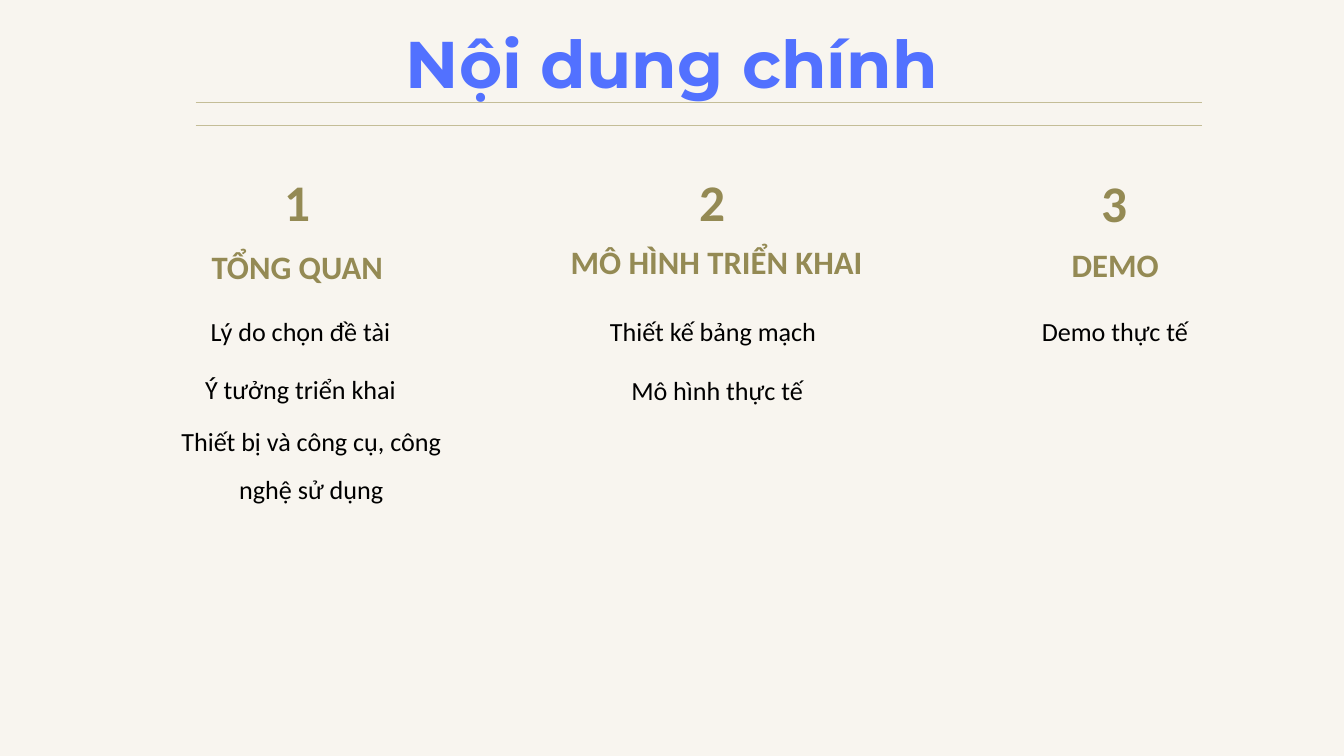
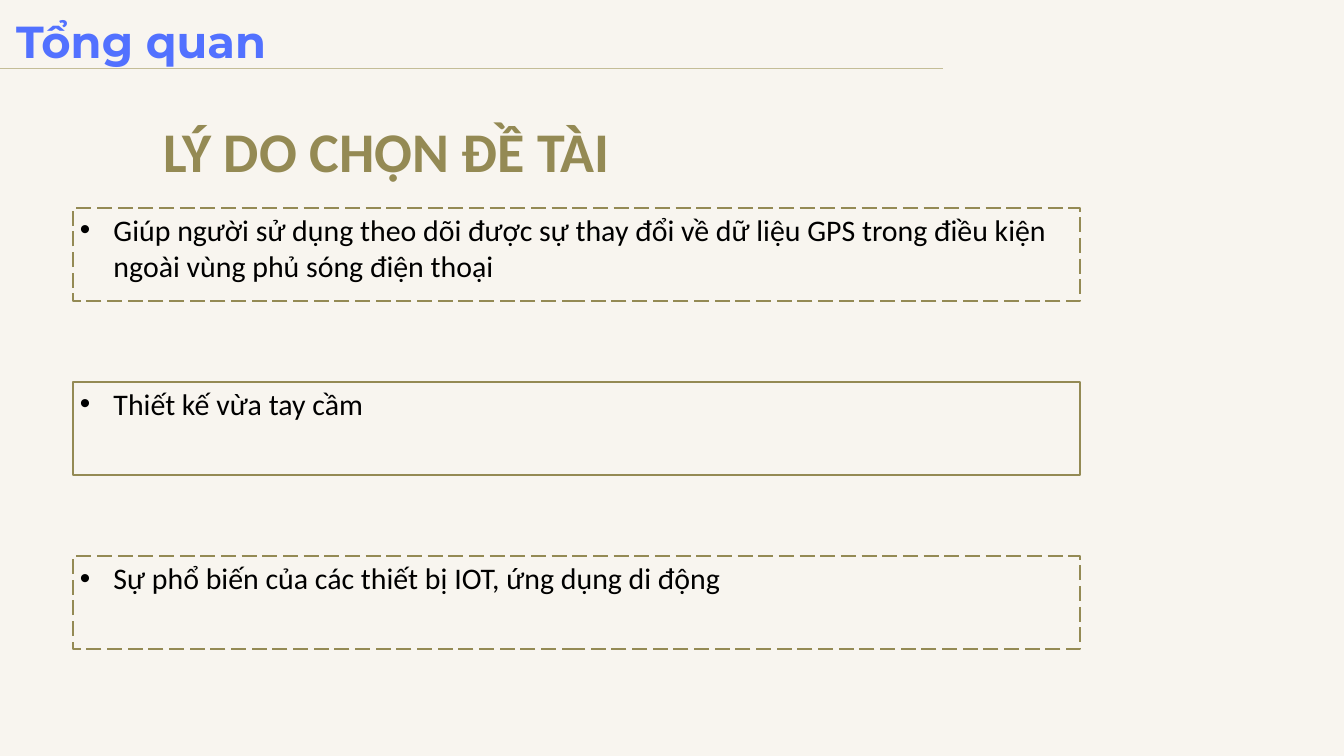
from lxml.etree import SubElement
from pptx import Presentation
from pptx.dml.color import RGBColor
from pptx.enum.dml import MSO_LINE
from pptx.enum.shapes import MSO_CONNECTOR, MSO_SHAPE
from pptx.enum.text import MSO_AUTO_SIZE, PP_ALIGN
from pptx.oxml.ns import qn
from pptx.util import Emu, Pt

EMU_PER_PX = 9144
SLIDE_WIDTH, SLIDE_HEIGHT = 2000, 1125
COLORS = {
    "background": "F8F5EF",
    "title": "5271FF",
    "rule": "C4BD97",
    "accent": "948A54",
    "body": "000000",
}
TITLE_FONT, BODY_FONT = "Montserrat", "Calibri"
BULLET_INDENT = 50

COLUMNS = [
    {
        "box": (267, 233, 392, 519),
        "number": ("1", 103, 0, 146),
        "heading": ("TỔNG QUAN", 0, 122, 351),
        "items": [
            ("Lý do chọn đề tài", 17, 212, 326, 72),
            ("Ý tưởng triển khai", 17, 299, 326, 72),
            ("Thiết bị và công cụ, công nghệ sử dụng", 0, 376, 392, 143),
        ],
    },
    {
        "box": (803, 233, 527, 372),
        "number": ("2", 197, 0, 122),
        "heading": ("MÔ HÌNH TRIỂN KHAI", 0, 115, 527),
        "items": [
            ("Thiết kế bảng mạch", 78, 212, 360, 72),
            ("Mô hình thực tế", 118, 300, 292, 72),
        ],
    },
    {
        "box": (1330, 233, 658, 284),
        "number": ("3", 256, 2, 146),
        "heading": ("DEMO", 154, 120, 351),
        "items": [("Demo thực tế", 0, 212, 658, 72)],
    },
]
REASONS = [
    ("Giúp người sử dụng theo dõi được sự thay đổi về dữ liệu GPS "
     "trong điều kiện ngoài vùng phủ sóng điện thoại", MSO_LINE.LONG_DASH, 118),
    ("Thiết kế vừa tay cầm", MSO_LINE.SOLID, 64),
    ("Sự phổ biến của các thiết bị IOT, ứng dụng di động", MSO_LINE.LONG_DASH, 64),
]


def px(value):
    return Emu(value * EMU_PER_PX)


def color(name):
    return RGBColor.from_string(COLORS[name])


def add_text(shapes, box, text, size, color_name, font_name=BODY_FONT, bold=False,
             align=PP_ALIGN.CENTER, spacing=1.2, bulleted=False):
    shape = shapes.add_textbox(*map(px, box))
    frame = shape.text_frame
    frame.word_wrap = True
    frame.auto_size = MSO_AUTO_SIZE.SHAPE_TO_FIT_TEXT
    paragraph = frame.paragraphs[0]
    paragraph.alignment = align
    paragraph.line_spacing = spacing
    if bulleted:
        add_bullet(paragraph)
    else:
        frame.margin_left = frame.margin_right = 0
        frame.margin_top = frame.margin_bottom = 0
    run = paragraph.add_run()
    run.text = text
    run.font.size = Pt(size)
    run.font.name = font_name
    run.font.bold = bold
    run.font.color.rgb = color(color_name)


def add_bullet(paragraph):
    properties = paragraph._p.get_or_add_pPr()
    properties.set("marL", str(px(BULLET_INDENT)))
    properties.set("indent", str(px(-BULLET_INDENT)))
    bullet_color = SubElement(properties, qn("a:buClr"))
    SubElement(bullet_color, qn("a:srgbClr"), val=COLORS["body"])
    SubElement(properties, qn("a:buFont"), typeface="Arial")
    SubElement(properties, qn("a:buChar"), char="•")


def add_rule(slide, left, top, width):
    line = slide.shapes.add_connector(
        MSO_CONNECTOR.STRAIGHT, px(left), px(top), px(left + width), px(top))
    line.line.color.rgb = color("rule")
    line.line.width = Pt(0.75)
    SubElement(line._element.spPr, qn("a:effectLst"))


def add_slide(presentation):
    slide = presentation.slides.add_slide(presentation.slide_layouts[6])
    slide.background.fill.solid()
    slide.background.fill.fore_color.rgb = color("background")
    return slide


def add_title(slide, box, text, size, align, rule_left, rule_gaps):
    left, top, width, height = box
    add_text(slide.shapes, box, text, size, "title", TITLE_FONT, True, align)
    for gap in rule_gaps:
        add_rule(slide, left + rule_left, top + height + gap, 1498)


def add_column(slide, box, number, heading, items):
    left, top = box[:2]
    header = slide.shapes.add_group_shape()
    for (text, x, y, width), height, size, spacing in (
            (number, 113, 55, 1.22), (heading, 71, 35, 1.2)):
        add_text(header.shapes, (left + x, top + y, width, height), text, size,
                 "accent", bold=True, spacing=spacing)
    for text, x, y, width, height in items:
        add_text(slide.shapes, (left + x, top + y, width, height), text, 28,
                 "body", spacing=1.52)


def add_reason(slide, box, text, dash, text_height):
    left, top, width, height = box
    group = slide.shapes.add_group_shape()
    frame = group.shapes.add_shape(MSO_SHAPE.RECTANGLE, *map(px, box))
    frame.shadow.inherit = False
    frame.fill.background()
    frame.line.color.rgb = color("accent")
    frame.line.width = Pt(2)
    frame.line.dash_style = dash
    add_text(group.shapes, (left, top, width, text_height), text, 32, "body",
             align=PP_ALIGN.LEFT, spacing=1.0, bulleted=True)


def build_contents(presentation):
    slide = add_slide(presentation)
    add_title(slide, (406, 10, 1188, 143), "Nội dung chính", 70.7,
              PP_ALIGN.CENTER, -115, (0, 34))
    for column in COLUMNS:
        add_column(slide, **column)


def build_overview(presentation):
    slide = add_slide(presentation)
    add_title(slide, (24, 4, 1188, 97), "Tổng quan", 48, PP_ALIGN.LEFT, -119, (0,))
    add_text(slide.shapes, (72, 121, 1007, 153), "LÝ DO CHỌN ĐỀ TÀI", 60,
             "accent", bold=True, spacing=1.52)
    left, top, width, height, gap = 109, 310, 1498, 138, 121
    for index, reason in enumerate(REASONS):
        add_reason(slide, (left, top + index * (height + gap), width, height), *reason)


def main():
    presentation = Presentation()
    presentation.slide_width = px(SLIDE_WIDTH)
    presentation.slide_height = px(SLIDE_HEIGHT)
    build_contents(presentation)
    build_overview(presentation)
    presentation.save("out.pptx")


if __name__ == "__main__":
    main()
